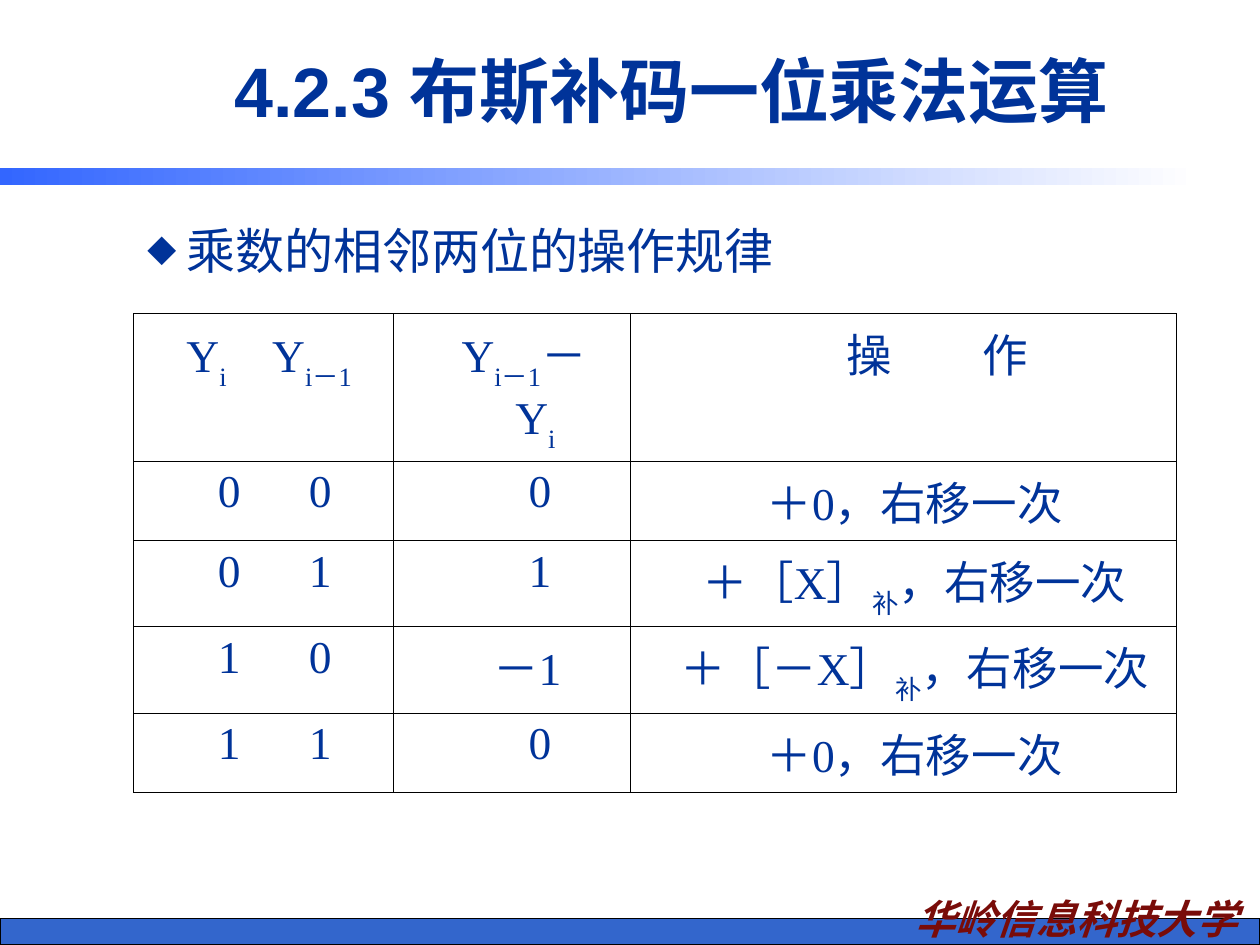
from dataclasses import dataclass

import pptx
import pptx.dml.color
import pptx.enum.shapes
import pptx.enum.text
import pptx.oxml
import pptx.oxml.ns
import pptx.util
from lxml import etree

Inches = pptx.util.Inches
Pt = pptx.util.Pt
Align = pptx.enum.text.PP_ALIGN
qn = pptx.oxml.ns.qn

NAVY = "003399"
CJK = "Noto Sans CJK SC"
COLUMN_WIDTHS = [2.06, 1.88, 4.34]
ROW_HEIGHTS = [1.17, 0.63, 0.68, 0.69, 0.63]


@dataclass
class Entry:
    """Table text: parts between bars are subscripts; gap widens its space, in points."""
    text: str
    left: float
    right: float = 0.1
    gap: float = 0
    hanging: float = 0


def bits(pair: str) -> Entry:
    return Entry(" ".join(pair), 0.67, gap=32.5)


def difference(text: str, left: float = 0.55) -> Entry:
    return Entry(text, left)


def operation(text: str) -> Entry:
    return Entry(text + "，右移一次", 0.28)


ENTRIES = [
    [Entry("Y|i| Y|i－1|", 0.42, gap=19.5),
     Entry("Y|i－1|－Y|i|", 0.4, right=0.2, hanging=0.18),
     Entry("操 作", 1.72, gap=45.5)],
    [bits("00"), difference("0"), operation("＋0")],
    [bits("01"), difference("1"), operation("＋［X］|补|")],
    [bits("10"), difference("－1", 0.35), operation("＋［－X］|补|")],
    [bits("11"), difference("0"), operation("＋0")],
]


def rgb(value: str) -> pptx.dml.color.RGBColor:
    return pptx.dml.color.RGBColor.from_string(value)


def set_font(para, size: float, color: str, latin: str = CJK,
             bold: bool = False, italic: bool = False) -> None:
    font = para.font
    font.size, font.name = Pt(size), latin
    font.bold, font.italic = bold, italic
    font.color.rgb = rgb(color)
    east_asian = etree.SubElement(font._element, qn("a:ea"))
    east_asian.set("typeface", CJK)


def set_hanging(para, margin: float, hanging: float) -> None:
    properties = para._p.get_or_add_pPr()
    properties.set("marL", str(Inches(margin)))
    properties.set("indent", str(-Inches(hanging)))


def place(shape, left: float, top: float, width: float, height: float) -> None:
    shape.left, shape.top = Inches(left), Inches(top)
    shape.width, shape.height = Inches(width), Inches(height)


def add_bar(page, left: float, top: float, width: float, height: float):
    bar = page.shapes.add_shape(
        pptx.enum.shapes.MSO_SHAPE.RECTANGLE,
        Inches(left), Inches(top), Inches(width), Inches(height))
    bar.shadow.inherit = False
    return bar


def add_decoration(page) -> None:
    footer = add_bar(page, 0, 7.29, 10, 0.21)
    footer.fill.solid()
    footer.fill.fore_color.rgb = rgb("3366CC")
    footer.line.color.rgb = rgb("000000")
    footer.line.width = Pt(0.75)

    box = page.shapes.add_textbox(Inches(6.97), Inches(7.05), Inches(3.15), Inches(0.49))
    box.text_frame.word_wrap = True
    para = box.text_frame.paragraphs[0]
    para.text = "华岭信息科技大学"
    para.alignment = Align.CENTER
    para.space_before = Pt(5.8)
    set_font(para, 23, "790C09", bold=True, italic=True)

    rule = add_bar(page, 0, 1.33, 9.51, 0.14)
    rule.line.fill.background()
    rule.fill.gradient()
    rule.fill.gradient_angle = 0
    for stop, color in zip(rule.fill.gradient_stops, ["3366FF", "FFFFFF"]):
        stop.color.rgb = rgb(color)


def fill_title(title) -> None:
    place(title, 1.33, 0.17, 8, 1.08)
    title.text_frame.vertical_anchor = pptx.enum.text.MSO_ANCHOR.MIDDLE
    para = title.text_frame.paragraphs[0]
    para.text = "4.2.3 布斯补码一位乘法运算"
    para.alignment = Align.CENTER
    set_font(para, 40, NAVY, "Arial", bold=True)


def fill_body(body) -> None:
    place(body, 0.99, 1.7, 5.3, 0.57)
    frame = body.text_frame
    frame.word_wrap = False
    frame.auto_size = pptx.enum.text.MSO_AUTO_SIZE.NONE
    frame.vertical_anchor = pptx.enum.text.MSO_ANCHOR.MIDDLE
    para = frame.paragraphs[0]
    para.text = "乘数的相邻两位的操作规律"
    para.space_before = Pt(0)
    set_hanging(para, 0.39, 0.31)
    properties = para._p.get_or_add_pPr()
    color = etree.SubElement(properties, qn("a:buClr"))
    etree.SubElement(color, qn("a:srgbClr")).set("val", NAVY)
    etree.SubElement(properties, qn("a:buSzPct")).set("val", "60000")
    etree.SubElement(properties, qn("a:buFont")).set("typeface", CJK)
    etree.SubElement(properties, qn("a:buChar")).set("char", "◆")
    set_font(para, 28, NAVY)


def add_borders(cell) -> None:
    properties = cell._tc.get_or_add_tcPr()
    for index, side in enumerate(["lnL", "lnR", "lnT", "lnB"]):
        line = etree.Element(qn("a:" + side), w=str(Pt(0.45)))
        fill = etree.SubElement(line, qn("a:solidFill"))
        etree.SubElement(fill, qn("a:srgbClr")).set("val", "000000")
        properties.insert(index, line)


def add_span(para, text: str, **attributes: str) -> None:
    if text:
        span = para.add_run()
        span.text = text
        for name, value in attributes.items():
            span.font._element.set(name, value)


def fill_cell(cell, entry: Entry) -> None:
    cell.margin_left, cell.margin_right = Inches(entry.left), Inches(entry.right)
    cell.fill.background()
    add_borders(cell)
    para = cell.text_frame.paragraphs[0]
    para.alignment = Align.LEFT if entry.gap else Align.CENTER
    set_hanging(para, entry.hanging, entry.hanging)
    set_font(para, 26, NAVY, "Times New Roman")
    for index, part in enumerate(entry.text.split("|")):
        if index % 2:
            add_span(para, part, baseline="-30000")
        else:
            before, space, after = part.partition(" ")
            add_span(para, before)
            add_span(para, space, spc=str(round(entry.gap * 100)))
            add_span(para, after)


def add_rules_table(page) -> None:
    table = page.shapes.add_table(
        len(ROW_HEIGHTS), len(COLUMN_WIDTHS), Inches(1.06), Inches(2.49),
        Inches(sum(COLUMN_WIDTHS)), Inches(sum(ROW_HEIGHTS))).table
    table.first_row = table.horz_banding = False
    for column, width in zip(table.columns, COLUMN_WIDTHS):
        column.width = Inches(width)
    for row, height, entries in zip(table.rows, ROW_HEIGHTS, ENTRIES):
        row.height = Inches(height)
        for cell, entry in zip(row.cells, entries):
            fill_cell(cell, entry)


def main() -> None:
    deck = pptx.Presentation()
    deck.slide_width, deck.slide_height = Inches(10), Inches(7.5)
    page = deck.slides.add_slide(deck.slide_layouts[1])
    add_decoration(page)
    fill_title(page.shapes.title)
    fill_body(page.placeholders[1])
    add_rules_table(page)
    deck.save("out.pptx")


if __name__ == "__main__":
    main()
